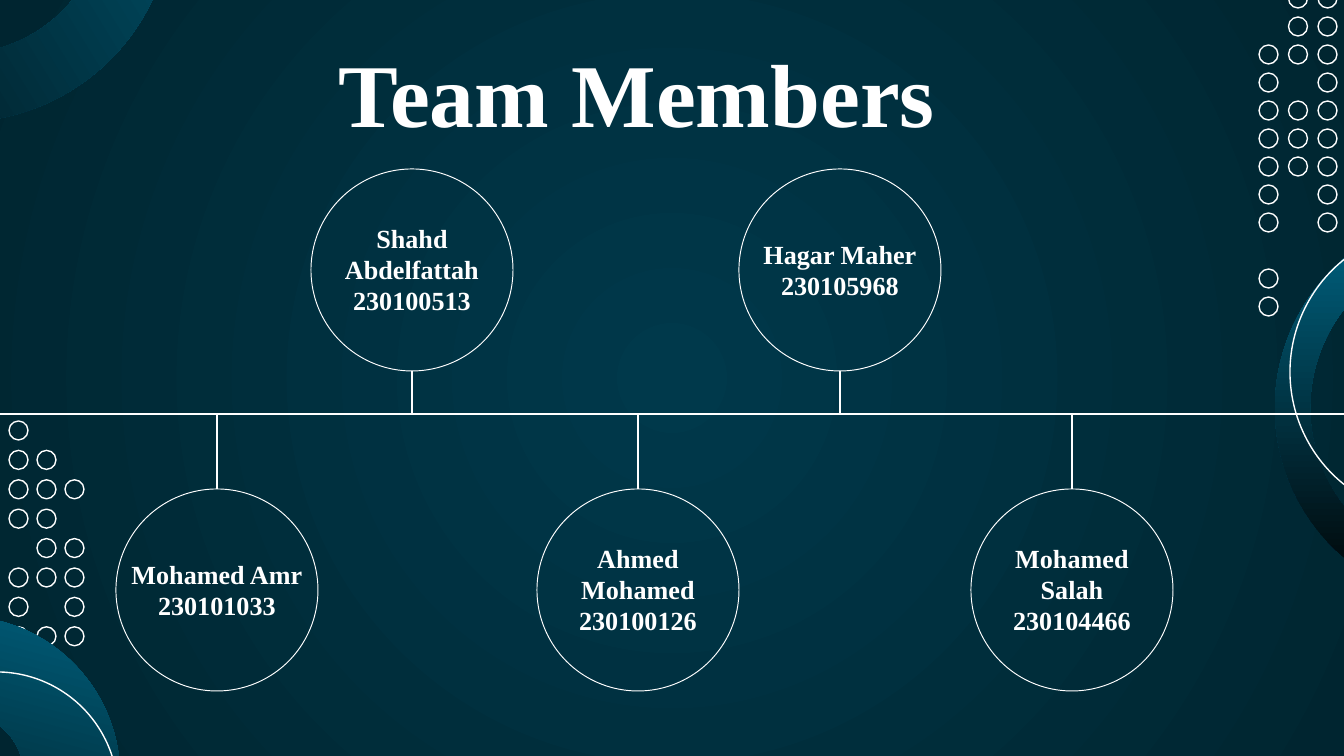
from lxml import etree
from pptx import Presentation
from pptx.dml.color import RGBColor
from pptx.enum.shapes import MSO_CONNECTOR, MSO_SHAPE
from pptx.enum.text import MSO_ANCHOR, MSO_AUTO_SIZE, PP_ALIGN
from pptx.oxml.ns import qn
from pptx.util import Emu, Pt

EMU_PER_PX = 914400 / 134.4
STRAIGHT = MSO_CONNECTOR.STRAIGHT
OVAL = MSO_SHAPE.OVAL
BLOCK_ARC = MSO_SHAPE.BLOCK_ARC
NODE = MSO_SHAPE.FLOWCHART_CONNECTOR
TOP = MSO_ANCHOR.TOP
CENTER = PP_ALIGN.CENTER
NO_AUTOFIT = MSO_AUTO_SIZE.NONE
GROW = MSO_AUTO_SIZE.SHAPE_TO_FIT_TEXT

FONT = "Times New Roman"
COLORS = {
    "white": "FFFFFF",
    "glow": "00394B",
    "edge": "002530",
    "teal": "006685",
    "black": "010101",
}

WIDTH, HEIGHT = 1344, 756
SPINE_Y = 414
NODE_SIZE = 202
UPPER_Y, LOWER_Y = 169, 489
LABEL_HEIGHTS = {2: 77, 3: 109}
DOT_SIZE = 19

MEMBERS = [
    ("Mohamed Amr", "230101033", 116, LOWER_Y, 2),
    ("Ahmed Mohamed", "230100126", 537, LOWER_Y, 3),
    ("Mohamed Salah", "230104466", 971, LOWER_Y, 3),
    ("Hagar Maher", "230105968", 739, UPPER_Y, 2),
    ("Shahd Abdelfattah", "230100513", 311, UPPER_Y, 3),
]
RIGHT_DOTS = ".oo .oo ooo o.o ooo ooo ooo o.o o.o ... o.. o.."
LEFT_DOTS = "o.. oo. ooo oo. .oo ooo o.o ooo"


def px(length):
    return Emu(round(length * EMU_PER_PX))


def rgb(name):
    return RGBColor.from_string(COLORS[name])


def set_gradient(fill, start, end):
    fill.gradient()
    for stop, name in zip(fill.gradient_stops, (start, end)):
        stop.color.rgb = rgb(name)


def paint_background(slide):
    set_gradient(slide.background.fill, "glow", "edge")
    gradient = slide.element.find(".//" + qn("a:gradFill"))
    linear = gradient.find(qn("a:lin"))
    radial = etree.Element(qn("a:path"), path="circle")
    etree.SubElement(radial, qn("a:fillToRect"),
                     l="50000", t="50000", r="50000", b="50000")
    gradient.replace(linear, radial)


def add_ring(slide, x, y, size, kind=OVAL, weight=0.75):
    ring = slide.shapes.add_shape(kind, px(x), px(y), px(size), px(size))
    ring.shadow.inherit = False
    ring.fill.background()
    ring.line.color.rgb = rgb("white")
    ring.line.width = Pt(weight)


def add_dots(slide, pattern, left, top, pitch_x, pitch_y):
    for row, marks in enumerate(pattern.split()):
        for column, mark in enumerate(marks):
            if mark == "o":
                add_ring(slide, left + column * pitch_x, top + row * pitch_y, DOT_SIZE)


def add_arc(slide, x, y, size, adjustments, rotation=0, flipped=False):
    arc = slide.shapes.add_shape(BLOCK_ARC, px(x), px(y), px(size), px(size))
    arc.shadow.inherit = False
    for index, value in enumerate(adjustments):
        arc.adjustments[index] = value
    arc.rotation = rotation
    if flipped:
        arc.element.spPr.find(qn("a:xfrm")).set("flipH", "1")
    set_gradient(arc.fill, "teal", "black")
    arc.fill.gradient_angle = 270
    arc.line.fill.background()


def add_line(slide, x1, y1, x2, y2, weight):
    line = slide.shapes.add_connector(STRAIGHT, px(x1), px(y1), px(x2), px(y2))
    line.line.color.rgb = rgb("white")
    line.line.width = Pt(weight)
    etree.SubElement(line.element.spPr, qn("a:effectLst"))


def write_lines(frame, lines, size):
    frame.text = "\n".join(lines)
    for paragraph in frame.paragraphs:
        paragraph.alignment = CENTER
        paragraph.font.name = FONT
        paragraph.font.size = Pt(size)
        paragraph.font.bold = True
        paragraph.font.color.rgb = rgb("white")


def set_title(slide, text):
    title = slide.shapes.title
    title.left, title.top, title.width, title.height = map(px, (70, 15, 1134, 109))
    frame = title.text_frame
    frame.auto_size = NO_AUTOFIT
    frame.vertical_anchor = TOP
    frame.margin_left = frame.margin_right = frame.margin_bottom = px(13)
    frame.margin_top = px(23)
    write_lines(frame, [text], 48)


def add_member(slide, name, number, x, y, line_count):
    add_ring(slide, x, y, NODE_SIZE, NODE, 0.5)
    height = LABEL_HEIGHTS[line_count]
    label_y = y + (NODE_SIZE - height) / 2
    label = slide.shapes.add_textbox(px(x), px(label_y), px(NODE_SIZE), px(height))
    label.text_frame.word_wrap = True
    label.text_frame.auto_size = GROW
    write_lines(label.text_frame, [name, number], 14)
    center = x + NODE_SIZE / 2
    node_edge = y + NODE_SIZE if y < SPINE_Y else y
    add_line(slide, center, node_edge, center, SPINE_Y, 1)


def main():
    deck = Presentation()
    deck.slide_width, deck.slide_height = px(WIDTH), px(HEIGHT)
    slide = deck.slides.add_slide(deck.slide_layouts[5])
    paint_background(slide)
    add_dots(slide, RIGHT_DOTS, 1259, -11, 29.5, 28)
    add_dots(slide, LEFT_DOTS, 9, 421, 28, 29.4)
    add_arc(slide, -200, 616, 320, (100.11, 181.23, 0.3), 15, True)
    add_ring(slide, -125, 672, 243)
    add_arc(slide, 1275, 212, 392, (53.18, 173.76, 0.09))
    add_ring(slide, 1290, 228, 288)
    add_arc(slide, -254, -305, 427, (53.18, 175.57, 0.16), 58.5, True)
    set_title(slide, "Team Members")
    add_line(slide, 0, SPINE_Y, WIDTH, SPINE_Y, 0.75)
    for member in MEMBERS:
        add_member(slide, *member)
    deck.save("out.pptx")


if __name__ == "__main__":
    main()
